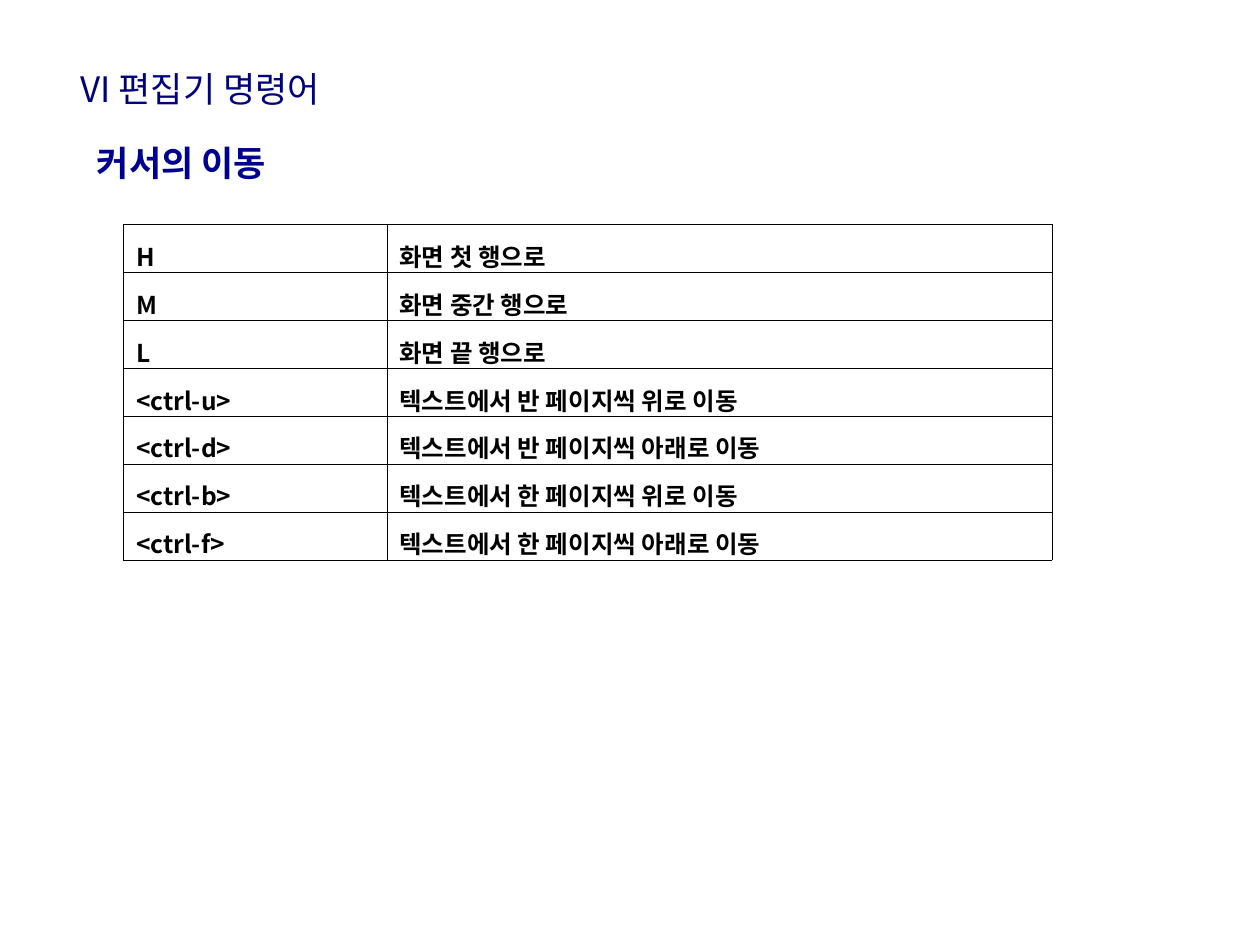
from lxml.etree import SubElement
from pptx import Presentation
from pptx.dml.color import RGBColor
from pptx.enum.text import MSO_ANCHOR, MSO_AUTO_SIZE, PP_ALIGN
from pptx.oxml import parse_xml
from pptx.oxml.ns import nsdecls, qn
from pptx.util import Inches, Pt

FONT = "Noto Sans CJK KR"
COLORS = {"title": "00007D", "heading": "00008E", "text": "000000", "border": "000000"}


def write_text(frame, text, size, color, bold=False, align=None, line_spacing=None, space_before=None):
    para = frame.paragraphs[0]
    para.alignment = align
    para.line_spacing = line_spacing
    para.space_before = space_before
    span = para.add_run()
    span.text = text
    span.font.size = Pt(size)
    span.font.bold = bold
    span.font.color.rgb = RGBColor.from_string(COLORS[color])
    span.font.name = FONT
    # Hangul uses the East Asian typeface
    SubElement(span.font._element, qn("a:ea")).set("typeface", FONT)


def add_borders(cell):
    properties = cell._tc.get_or_add_tcPr()
    for index, side in enumerate(("lnL", "lnR", "lnT", "lnB")):
        properties.insert(index, parse_xml(
            f'<a:{side} {nsdecls("a")} w="{Pt(0.11)}"><a:solidFill>'
            f'<a:srgbClr val="{COLORS["border"]}"/></a:solidFill></a:{side}>'))


deck = Presentation()
deck.slide_width, deck.slide_height = Inches(10), Inches(7.5)
page = deck.slides.add_slide(deck.slide_layouts[6])

# Section heading
heading = page.shapes.add_textbox(Inches(0.67), Inches(1.07), Inches(8.79), Inches(0.87))
heading.text_frame.word_wrap = True
write_text(heading.text_frame, "커서의 이동", size=20, color="heading", bold=True)

# Cursor command table
commands = [
    ("H", "화면 첫 행으로"),
    ("M", "화면 중간 행으로"),
    ("L", "화면 끝 행으로"),
    ("<ctrl-u>", "텍스트에서 반 페이지씩 위로 이동"),
    ("<ctrl-d>", "텍스트에서 반 페이지씩 아래로 이동"),
    ("<ctrl-b>", "텍스트에서 한 페이지씩 위로 이동"),
    ("<ctrl-f>", "텍스트에서 한 페이지씩 아래로 이동"),
]
row_height = Inches(0.38)
table = page.shapes.add_table(len(commands), 2, Inches(0.98), Inches(1.78),
                              Inches(7.37), row_height * len(commands)).table
table.first_row = table.horz_banding = False
for column, width in zip(table.columns, (2.09, 5.28)):
    column.width = Inches(width)
for row, texts in zip(table.rows, commands):
    row.height = row_height
    for cell, text in zip(row.cells, texts):
        cell.fill.background()
        cell.vertical_anchor = MSO_ANCHOR.MIDDLE
        add_borders(cell)
        write_text(cell.text_frame, text, size=14, color="text", bold=True,
                   align=PP_ALIGN.JUSTIFY, line_spacing=1.2)

# Page title
title = page.shapes.add_textbox(Inches(0.54), Inches(0.49), Inches(2.33), Inches(0.44))
title.text_frame.word_wrap = False
title.text_frame.auto_size = MSO_AUTO_SIZE.SHAPE_TO_FIT_TEXT
write_text(title.text_frame, "VI 편집기 명령어", size=20, color="title")

deck.save("out.pptx")
